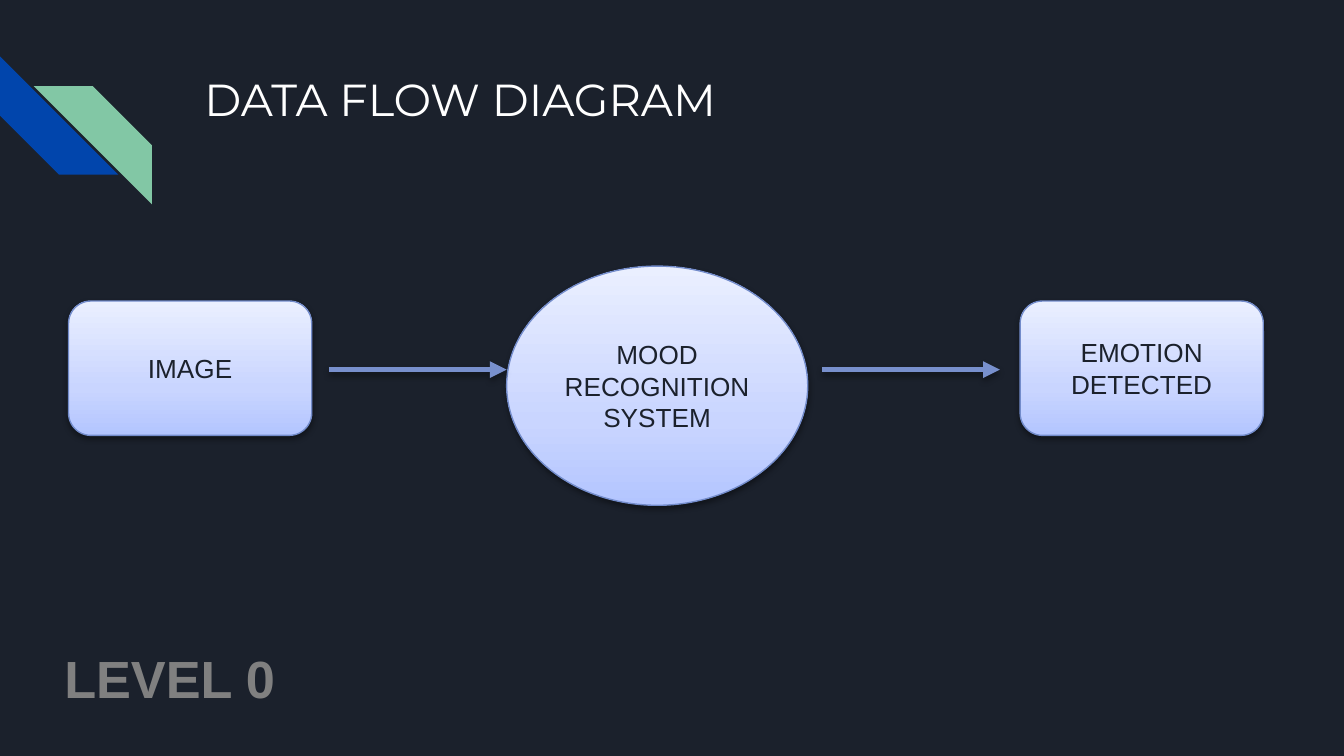
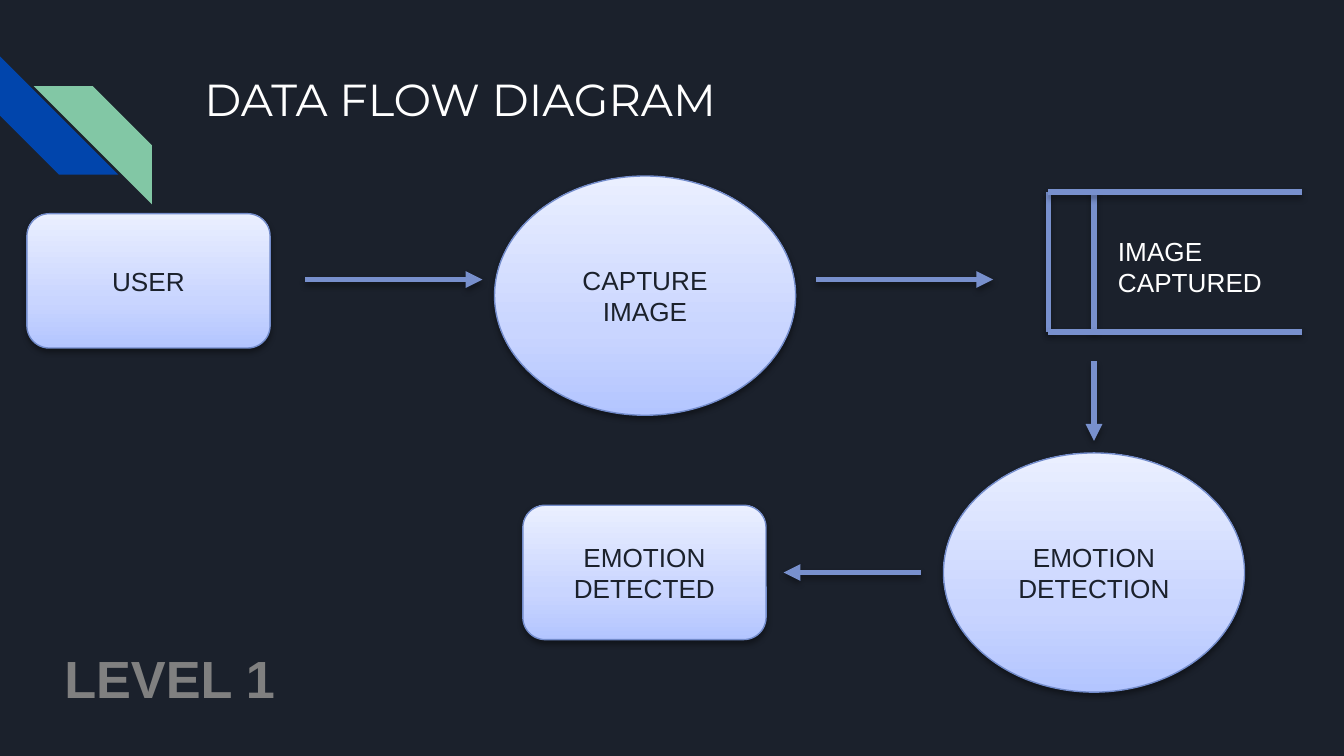
from copy import deepcopy

from pptx import Presentation
from pptx import util as u
from pptx.dml.color import RGBColor
from pptx.enum import shapes, text
from pptx.oxml import ns, xmlchemy

NIGHT = RGBColor(0x1B, 0x21, 0x2C)
BLUE = RGBColor(0x01, 0x45, 0xAC)
GREEN = RGBColor(0x82, 0xC7, 0xA5)
WHITE = RGBColor(0xFF, 0xFF, 0xFF)
GREY = RGBColor(0x80, 0x80, 0x80)
BLACK = RGBColor(0x00, 0x00, 0x00)
OUTLINE = RGBColor(0x73, 0x8C, 0xCB)
FLOW = RGBColor(0x78, 0x90, 0xCD)
NODE_GRADIENT = (
    (0, RGBColor(0xB3, 0xC5, 0xFF)),
    (0.35, RGBColor(0xC9, 0xD5, 0xFF)),
    (1, RGBColor(0xEA, 0xEF, 0xFF)),
)

TITLE_FORMAT = {"name": "Montserrat", "size": u.Pt(24), "bold": False}
LABEL_FORMAT = {"name": "Arial", "size": u.Pt(14)}
LEVEL_FORMAT = {"name": "Arial", "size": u.Pt(28), "bold": True}

ENTITY = shapes.MSO_SHAPE.ROUNDED_RECTANGLE
PROCESS = shapes.MSO_SHAPE.OVAL
SIZES = {ENTITY: (1.81, 1), PROCESS: (2.24, 1.78)}
ARROW = 1.32


def inches(*lengths):
    return [u.Inches(length) for length in lengths]


def write(frame, lines, font_format, colour, align):
    frame.word_wrap = True
    frame.text = "\n".join(lines)
    for paragraph in frame.paragraphs:
        paragraph.alignment = align
        for attribute, value in font_format.items():
            setattr(paragraph.font, attribute, value)
        paragraph.font.color.rgb = colour


def child(parent, tag, **attributes):
    element = xmlchemy.OxmlElement(tag)
    for key, value in attributes.items():
        element.set(key, str(value))
    parent.append(element)
    return element


def cast_shadow(effects, distance, alpha):
    shadow = child(effects, "a:outerShdw", blurRad=40000, dist=distance,
                   dir=5400000, rotWithShape=0)
    colour = child(shadow, "a:srgbClr", val=BLACK)
    child(colour, "a:alpha", val=alpha * 1000)


def node(slide, kind, left, top, *lines):
    box = slide.shapes.add_shape(kind, *inches(left, top, *SIZES[kind]))
    box.fill.gradient()
    box.fill.gradient_angle = 90
    stops = box._element.spPr.find(".//" + ns.qn("a:gsLst"))
    stops.append(deepcopy(stops[0]))
    for stop, (position, colour) in zip(box.fill.gradient_stops, NODE_GRADIENT):
        stop.position = position
        stop.color.rgb = colour
    box.line.color.rgb = OUTLINE
    box.line.width = u.Pt(0.75)
    box.shadow.inherit = False
    cast_shadow(box._element.spPr.find(ns.qn("a:effectLst")), 20000, 38)
    box.text_frame.vertical_anchor = text.MSO_ANCHOR.MIDDLE
    write(box.text_frame, lines, LABEL_FORMAT, NIGHT, text.PP_ALIGN.CENTER)


def flow(slide, left, top, across=0, down=0, arrow=True):
    link = slide.shapes.add_connector(
        shapes.MSO_CONNECTOR.STRAIGHT,
        *inches(left, top, left + across, top + down))
    link.line.color.rgb = FLOW
    link.line.width = u.Pt(3)
    if arrow:
        child(link.line._get_or_add_ln(), "a:tailEnd", type="triangle")
    cast_shadow(child(link._element.spPr, "a:effectLst"), 23000, 35)


def caption(slide, box, line, font_format, colour):
    label = slide.shapes.add_textbox(*inches(*box))
    write(label.text_frame, [line], font_format, colour, text.PP_ALIGN.LEFT)
    label.text_frame.auto_size = text.MSO_AUTO_SIZE.SHAPE_TO_FIT_TEXT


def data_store(slide, left, top, width, height, line):
    divider = 0.34
    for offset in (0, divider):
        flow(slide, left + offset, top, down=height, arrow=False)
    for offset in (height, 0):
        flow(slide, left, top + offset, across=width, arrow=False)
    caption(slide, (left + 0.42, top + 0.27, 1.33, 0.57), line, LABEL_FORMAT, WHITE)


def corner_stripes(slide, left, top, side):
    for across, down, rotation, colour in ((0, 0, 270, BLUE), (0.25, 0.22, 90, GREEN)):
        stripe = slide.shapes.add_shape(
            shapes.MSO_SHAPE.DIAGONAL_STRIPE,
            *inches(left + across, top + down, side, side))
        stripe.adjustments[0] = 0.5
        stripe.rotation = rotation
        stripe.fill.solid()
        stripe.fill.fore_color.rgb = colour
        stripe.line.fill.background()
        stripe.shadow.inherit = False


def place_title(title, box):
    for side, value in zip(("left", "top", "width", "height"), inches(*box)):
        setattr(title, side, value)
    frame = title.text_frame
    for side in ("left", "top", "right", "bottom"):
        setattr(frame, "margin_" + side, u.Inches(0.1))
    frame.vertical_anchor = text.MSO_ANCHOR.TOP
    frame.auto_size = text.MSO_AUTO_SIZE.NONE
    write(frame, ["DATA FLOW DIAGRAM"], TITLE_FORMAT, WHITE, text.PP_ALIGN.LEFT)


def diagram_slide(deck, level):
    slide = deck.slides.add_slide(deck.slide_layouts[5])
    corner_stripes(slide, 0, 0.42, 0.88)
    place_title(slide.shapes.title, (1.42, 0.43, 7.7, 1))
    caption(slide, (0.38, 4.76, 2.55, 0.57), level, LEVEL_FORMAT, GREY)
    return slide


def context_diagram(slide, left, top):
    node(slide, ENTITY, left, top + 0.26, "IMAGE")
    node(slide, ENTITY, left + 7.08, top + 0.26, "EMOTION DETECTED")
    node(slide, PROCESS, left + 3.26, top, "MOOD", "RECOGNITION SYSTEM")
    for offset in (1.94, 5.61):
        flow(slide, left + offset, top + 0.77, across=ARROW)


def detailed_diagram(slide, left, top):
    node(slide, ENTITY, left, top + 0.28, "USER")
    node(slide, PROCESS, left + 3.48, top, "CAPTURE IMAGE")
    for offset in (2.07, 5.87):
        flow(slide, left + offset, top + 0.77, across=ARROW)
    data_store(slide, left + 7.6, top + 0.12, 1.89, 1.04, "IMAGE CAPTURED")
    flow(slide, left + 7.94, top + 1.38, down=0.59)
    node(slide, PROCESS, left + 6.82, top + 2.06, "EMOTION DETECTION")
    flow(slide, left + 6.65, top + 2.95, across=-1.02)
    node(slide, ENTITY, left + 3.69, top + 2.45, "EMOTION DETECTED")


def main():
    deck = Presentation()
    deck.slide_width = u.Inches(10)
    deck.slide_height = deck.slide_width * 9 // 16
    backdrop = deck.slide_master.background.fill
    backdrop.solid()
    backdrop.fore_color.rgb = NIGHT
    context_diagram(diagram_slide(deck, "LEVEL 0"), 0.51, 1.98)
    detailed_diagram(diagram_slide(deck, "LEVEL 1"), 0.2, 1.31)
    deck.save("out.pptx")


if __name__ == "__main__":
    main()
